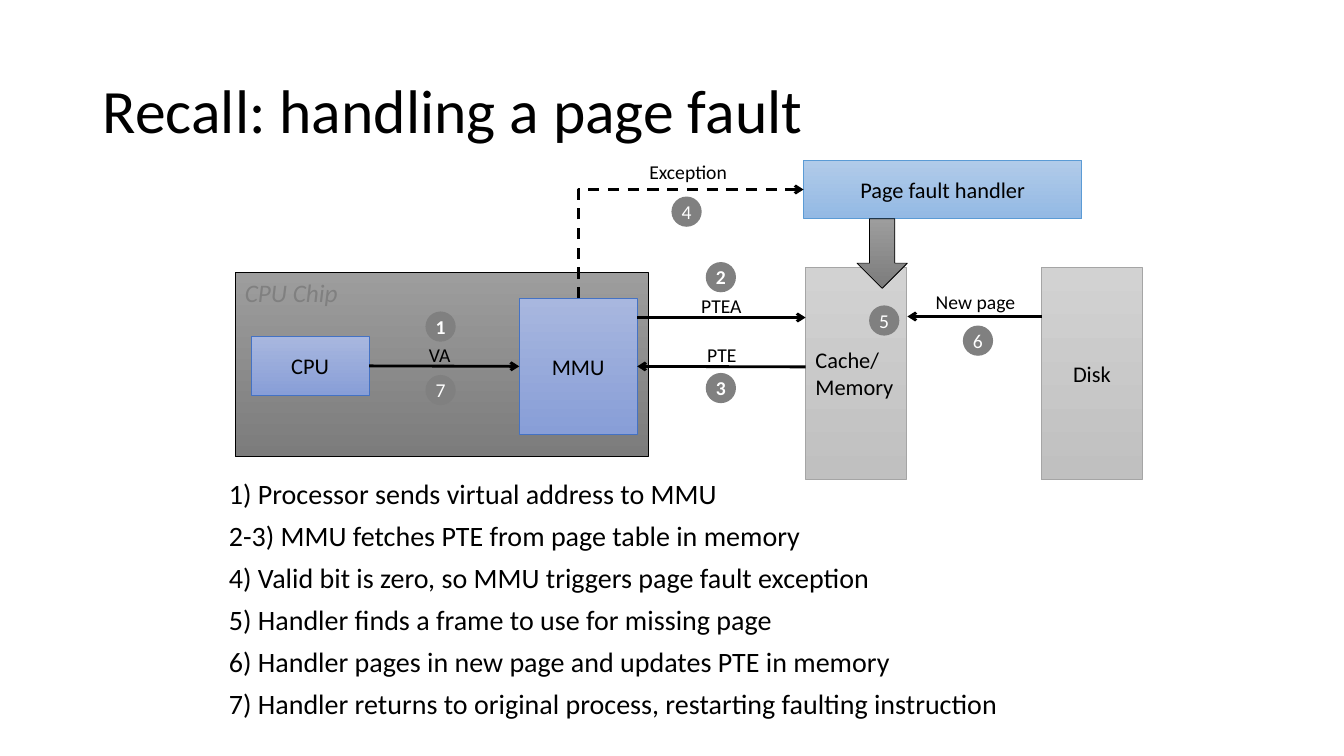
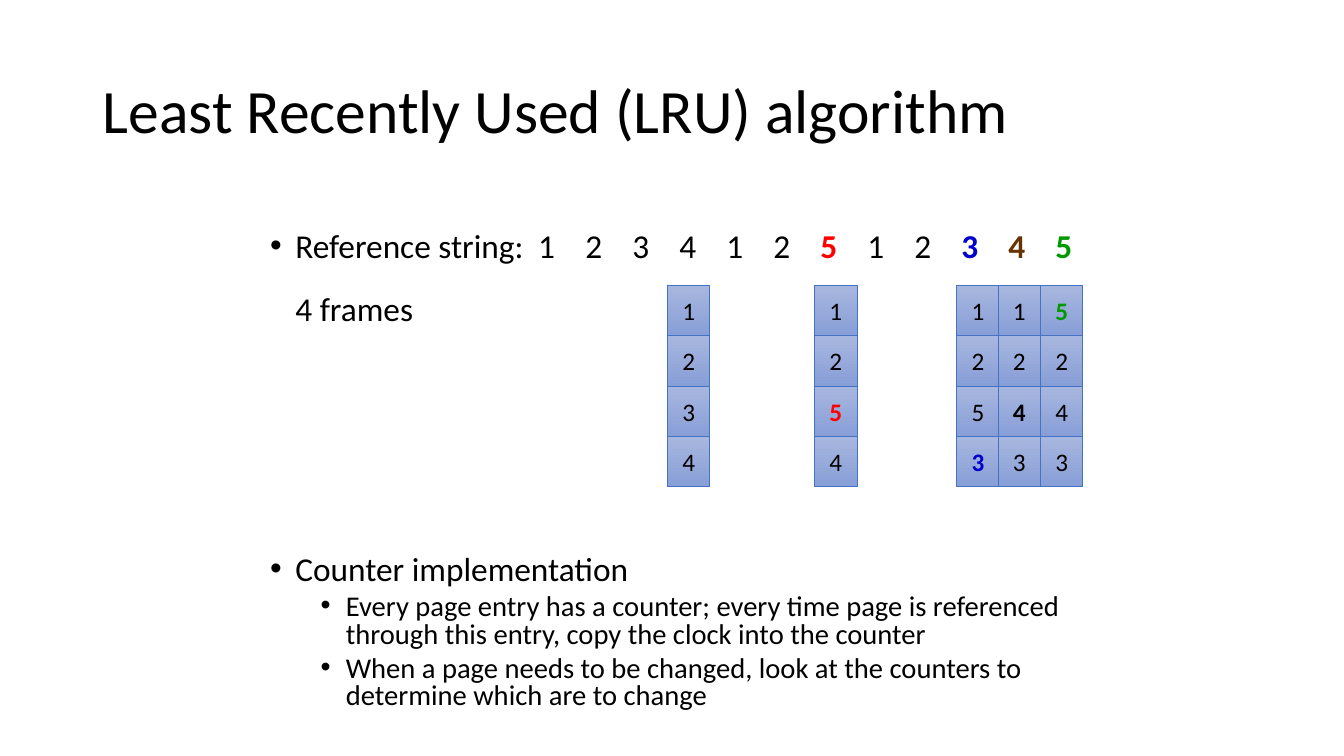
from lxml import etree
from pptx import Presentation
from pptx.dml.color import RGBColor
from pptx.enum.dml import MSO_LINE
from pptx.enum.shapes import MSO_CONNECTOR, MSO_SHAPE
from pptx.enum.text import MSO_ANCHOR, MSO_AUTO_SIZE, PP_ALIGN
from pptx.oxml.ns import qn
from pptx.util import Inches, Pt

RECT, OVAL, DOWN = MSO_SHAPE.RECTANGLE, MSO_SHAPE.OVAL, MSO_SHAPE.DOWN_ARROW
STRAIGHT, ELBOW = MSO_CONNECTOR.STRAIGHT, MSO_CONNECTOR.ELBOW
LEFT, MID = PP_ALIGN.LEFT, PP_ALIGN.CENTER
TOP, MIDDLE = MSO_ANCHOR.TOP, MSO_ANCHOR.MIDDLE
FIXED, DASH = MSO_AUTO_SIZE.NONE, MSO_LINE.DASH

FONT = "Calibri"
HEX = dict(ink="000000", white="FFFFFF", gray="808080", red="FF0000",
           blue="0000CC", brown="663300", green="009900")
# Each skin: gradient top, gradient bottom, outline
SKIN = dict(chip=("9D9D9D", "7C7C7C", "000000"),
            unit=("A8B7DF", "889ED7", "4472C4"),
            store=("D2D2D2", "C0C0C0", "A5A5A5"),
            code=("B1CBE9", "93B9E4", "5B9BD5"))

# Slide 1
FAULT = "Recall: handling a page fault"
STEPS = ["1) Processor sends virtual address to MMU",
         "2-3) MMU fetches PTE from page table in memory",
         "4) Valid bit is zero, so MMU triggers page fault exception",
         "5) Handler finds a frame to use for missing page",
         "6) Handler pages in new page and updates PTE in memory",
         "7) Handler returns to original process, restarting faulting instruction"]
PARTS = [  # text, skin, place, align
    ("MMU", "unit", (5.15, 2.96, 1.17, 1.35), MID),
    ("Cache/\nMemory", "store", (7.99, 2.65, 1, 2.11), LEFT),
    ("CPU", "unit", (2.49, 3.34, 1.17, 0.58), MID),
    ("Disk", "store", (10.33, 2.65, 1, 2.11), MID),
    ("Page fault handler", "code", (7.97, 1.59, 2.76, 0.58), MID)]
LABELS = [("VA", 4.15, 3.35, 0.42), ("PTEA", 6.85, 2.87, 0.61),
          ("PTE", 6.91, 3.35, 0.5), ("New page", 9.17, 2.83, 1.01),
          ("Exception", 6.33, 1.54, 0.99)]
BADGES = [("1", 4.22, 3.09, True), ("2", 7, 2.6, True), ("3", 7, 3.7, True),
          ("4", 6.66, 1.95, False), ("5", 8.62, 3.03, False),
          ("6", 9.55, 3.23, False), ("7", 4.22, 3.72, False)]

# Slide 2
LRU = "Least Recently Used (LRU) algorithm"
POINTS = [  # text, level, bullet, size, space before
    ("Reference string:", 0, True, 23.8, 10),
    ("4 frames", 0, False, 23.8, 22.5),
    ("Counter implementation", 0, True, 23.8, 162.5),
    ("Every page entry has a counter; every time page is referenced "
     "through this entry, copy the clock into the counter", 1, True, 20.4, 5),
    ("When a page needs to be changed, look at the counters to "
     "determine which are to change", 1, True, 20.4, 5)]
REFS = "123412512345"
HUES = {6: "red", 9: "blue", 10: "brown", 11: "green"}
FRAMES = [  # left, pages, row in bold, its colour
    (6.62, "1234", None, None), (8.08, "1254", 2, "red"),
    (9.49, "1253", 3, "blue"), (9.9, "1243", 2, "ink"),
    (10.32, "5243", 0, "green")]


def rgb(code):
    return RGBColor.from_string(HEX.get(code, code))


def inch(vals):
    return [Inches(v) for v in vals]


def style(font, size, hue="ink", **more):
    font.color.rgb = rgb(hue)
    for key, val in dict(name=FONT, size=Pt(size), **more).items():
        setattr(font, key, val)


def write(frame, text, size, hue="ink", align=MID, anchor=MIDDLE, **more):
    frame.word_wrap, frame.vertical_anchor = False, anchor
    frame.text = text
    for par in frame.paragraphs:
        par.alignment = align
        for run in par.runs:
            style(run.font, size, hue, **more)


def box(shapes, kind, place, skin):
    shape = shapes.add_shape(kind, *inch(place))
    shape.shadow.inherit = False
    *stops, edge = SKIN[skin]
    shape.fill.gradient()
    shape.fill.gradient_angle = 270
    for stop, code in zip(shape.fill.gradient_stops, stops):
        stop.color.rgb = rgb(code)
    shape.line.color.rgb = rgb(edge)
    shape.line.width = Pt(0.5)
    return shape


def arrow(slide, start, end, kind=STRAIGHT):
    link = slide.shapes.add_connector(kind, *inch(start + end))
    link.line.color.rgb = rgb("ink")
    link.line.width = Pt(2)
    props = link._element.spPr
    etree.SubElement(props.find(qn("a:ln")), qn("a:tailEnd"), type="arrow")
    etree.SubElement(props, qn("a:effectLst"))
    return link


def rise(slide, start, end):
    """Dashed arrow that goes up from start, then right to end."""
    (x, y), (right, top) = start, end
    wide, high = right - x, y - top
    left, peak = (x + right - high) / 2, (y + top - wide) / 2
    link = arrow(slide, (left, peak), (left + high, peak + wide), ELBOW)
    link.line.dash_style = DASH
    props = link._element.spPr
    props.find(qn("a:xfrm")).set("rot", str(270 * 60000))
    props.find(qn("a:prstGeom")).set("prst", "bentConnector2")


def move(shape, place):
    for key, val in zip(("left", "top", "width", "height"), inch(place)):
        setattr(shape, key, val)


def page(deck, title, place, points, pitch):
    """Slide with a title and a list of (text, level, bullet, size, gap)."""
    slide = deck.slides.add_slide(deck.slide_layouts[1])
    head, body = slide.placeholders
    move(head, (0.92, 0.4, 11.5, 1.45))
    write(head.text_frame, title, 44, align=LEFT)
    head.text_frame.word_wrap = True
    head.text_frame.paragraphs[0].line_spacing = 0.9
    move(body, place)
    frame = body.text_frame
    frame.text = "\n".join(point[0] for point in points)
    frame.auto_size = head.text_frame.auto_size = FIXED
    for par, (_, level, dot, size, gap) in zip(frame.paragraphs, points):
        par.level, par.line_spacing, par.space_before = level, pitch, Pt(gap)
        style(par.runs[0].font, size)
        props = par._p.get_or_add_pPr()
        hang = dot or points is not POINTS
        props.set("marL", str(Inches(0.25 + level / 2)))
        props.set("indent", str(Inches(-0.25 if hang else 0)))
        if dot:
            etree.SubElement(props, qn("a:buFont"), typeface="Arial")
            etree.SubElement(props, qn("a:buChar"), char="•")
        else:
            etree.SubElement(props, qn("a:buNone"))
    return slide


def fault(deck):
    rows = [(step, 0, False, 20, 12.5) for step in STEPS]
    slide = page(deck, FAULT, (2.17, 4.76, 9, 2.52), rows, 0.73)
    shapes = slide.shapes
    chip = box(shapes, RECT, (2.33, 2.7, 4.1, 1.83), "chip")
    write(chip.text_frame, "CPU Chip", 18, "gray", LEFT, TOP, italic=True)
    part = {}
    for text, skin, place, align in PARTS:
        part[text] = box(shapes, RECT, place, skin)
        write(part[text].text_frame, text, 16, align=align)
    mmu = part["MMU"]
    link = arrow(slide, (3.66, 3.63), (5.15, 3.63))
    link.begin_connect(part["CPU"], 3)
    link.end_connect(mmu, 1)
    arrow(slide, (6.32, 3.15), (7.99, 3.15))
    arrow(slide, (7.99, 3.64), (6.32, 3.64)).end_connect(mmu, 3)
    arrow(slide, (10.33, 3.14), (9, 3.14))
    rise(slide, (5.74, 2.96), (7.97, 1.88))
    box(shapes, DOWN, (8.5, 2.17, 0.5, 0.69), "chip")
    for text, x, y, wide in LABELS:
        label = shapes.add_textbox(*inch((x, y, wide, 0.33)))
        write(label.text_frame, text, 14)
    for text, x, y, bold in BADGES:
        badge = shapes.add_shape(OVAL, *inch((x, y, 0.3, 0.3)))
        badge.shadow.inherit = False
        badge.fill.solid()
        badge.fill.fore_color.rgb = rgb("gray")
        badge.line.fill.background()
        write(badge.text_frame, text, 14, "white", bold=bold)


def lru(deck):
    slide = page(deck, LRU, (2.58, 2.26, 8.33, 4.9), POINTS, 0.8)
    row = slide.shapes.add_textbox(*inch((5.24, 2.26, 5.7, 0.5)))
    row.text_frame.word_wrap = True
    par = row.text_frame.paragraphs[0]
    par.line_spacing, par.space_before = 0.8, Pt(10)
    tabs = etree.SubElement(par._p.get_or_add_pPr(), qn("a:tabLst"))
    step = 5.13 / (len(REFS) - 1)
    for i, ref in enumerate(REFS):
        run = par.add_run()
        run.text = "\t" + ref if i else ref
        style(run.font, 23.8, HUES.get(i, "ink"), bold=i in HUES)
        if i:
            etree.SubElement(tabs, qn("a:tab"), pos=str(Inches(i * step)), algn="l")
    for x, pages, new, hue in FRAMES:
        group = slide.shapes.add_group_shape()
        for i, text in enumerate(pages):
            cell = box(group.shapes, RECT, (x, 2.83 + i / 2, 0.42, 0.5), "unit")
            fresh = i == new
            write(cell.text_frame, text, 18, hue if fresh else "ink", bold=fresh)


def main():
    deck = Presentation()
    deck.slide_width, deck.slide_height = inch((13.33, 7.5))
    fault(deck)
    lru(deck)
    deck.save("out.pptx")


if __name__ == "__main__":
    main()
